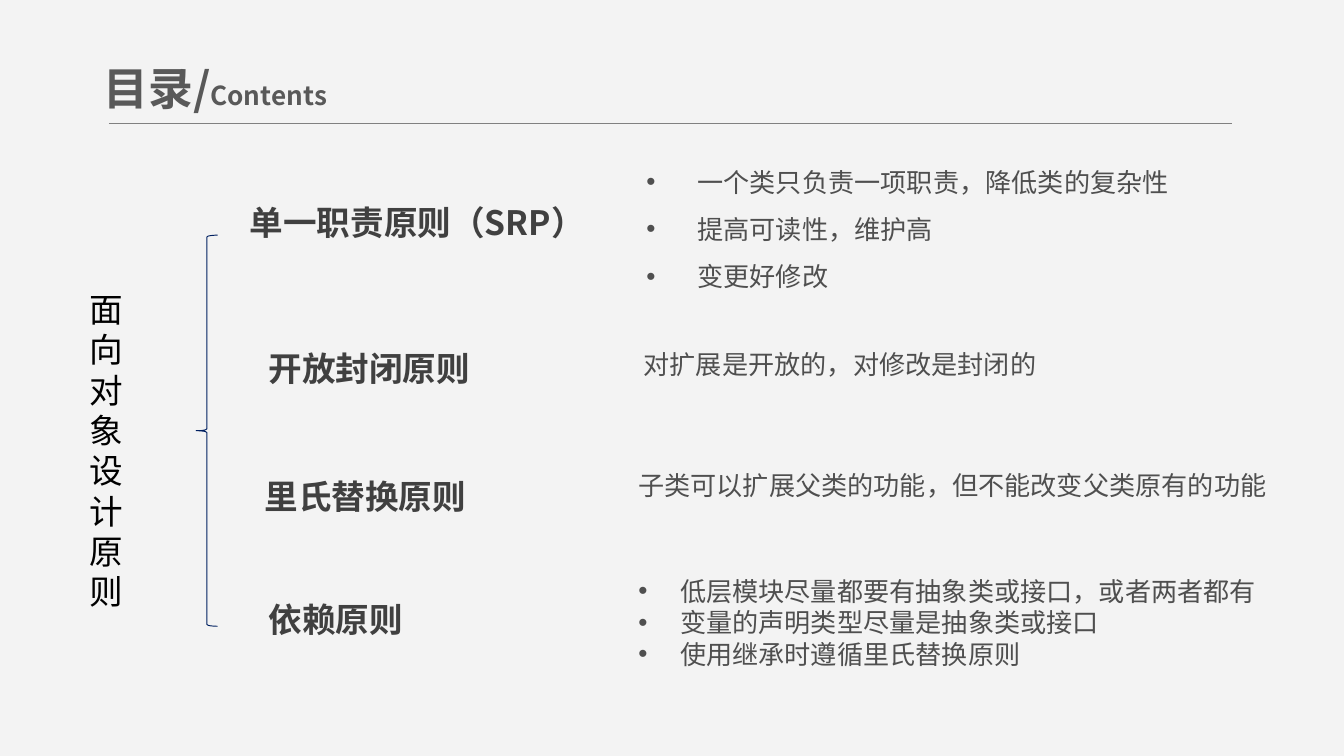
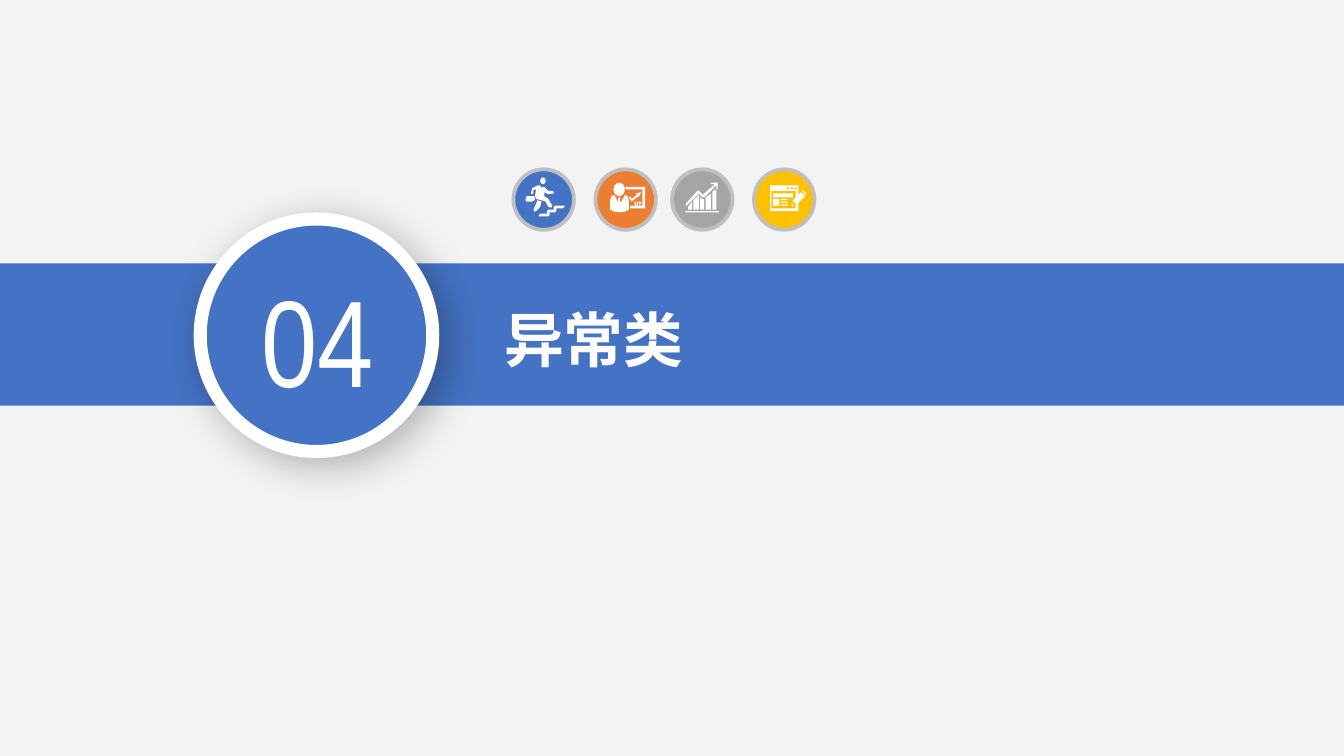
from lxml import etree
from pptx import Presentation
from pptx.dml.color import RGBColor
from pptx.enum.shapes import MSO_CONNECTOR, MSO_SHAPE
from pptx.enum.text import MSO_ANCHOR, MSO_AUTO_SIZE, PP_ALIGN
from pptx.oxml.ns import qn
from pptx.util import Inches, Pt

RECTANGLE, ELLIPSE, BRACE = MSO_SHAPE.RECTANGLE, MSO_SHAPE.OVAL, MSO_SHAPE.LEFT_BRACE
STRAIGHT = MSO_CONNECTOR.STRAIGHT
TOP, MIDDLE = MSO_ANCHOR.TOP, MSO_ANCHOR.MIDDLE
LEFT, CENTER = PP_ALIGN.LEFT, PP_ALIGN.CENTER
NO_AUTOFIT = MSO_AUTO_SIZE.NONE

FONT, NUMBER_FONT = "Noto Sans CJK SC", "Arial Narrow"
PAPER, WHITE, BLACK = "F3F3F3", "FFFFFF", "000000"
BLUE, ORANGE, GREY, YELLOW = "4472C4", "ED7D31", "A5A5A5", "FFC000"
TITLE_GREY, HEADING_GREY, BODY_GREY = "595959", "404040", "4F4F4F"
RULE_GREY, RING_GREY, NAVY = "808080", "BFBFBF", "002060"
TWO_CONTENT, TITLE_ONLY = 3, 5

# Icons: polygons, ellipses and rectangles, in hundredths of an inch inside a disc
DISC = 45
RUNNER = {
    "polygons": [
        [[(20, 33), (25, 33), (25, 31), (26, 30), (30, 30), (30, 28), (31, 27),
          (38, 27), (38, 28), (37, 29), (32, 29), (32, 31), (31, 32), (27, 32),
          (27, 34), (26, 35), (19, 35), (19, 34)]],
        [[(10, 24), (14, 24), (16, 23), (16, 21), (15, 20), (10, 20), (9, 23)]],
        [[(15, 30), (18, 23), (21, 24), (20, 28), (17, 31), (15.5, 31.5)]],
        [[(22, 13), (23, 13), (26, 16), (29, 16), (30, 17), (30, 18), (26, 18.5),
          (23, 17), (23, 20), (26, 22), (29, 27), (28.5, 28.5), (26, 28),
          (24, 24), (17, 22), (16, 20), (17, 15), (15, 15.5), (15, 18),
          (13, 18.5), (14, 14), (18, 12), (20, 12), (21, 14)]],
    ],
    "ellipses": [(20, 6, 4, 5)],
}
PRESENTER = {
    "polygons": [
        [[(22, 13), (23, 15), (35, 15), (35, 27), (26, 27), (26, 29), (37, 29),
          (37, 13)]],
        [[(26, 20), (25, 21), (27, 24), (32, 20), (32, 21), (34, 17), (30, 18),
          (31, 19), (27, 22)]],
        [[(22, 19), (19, 25), (18, 22), (19, 21.5), (18.5, 21), (17.5, 21),
          (17, 22), (17, 25), (14, 19), (12, 20), (11, 23), (11, 30),
          (14, 31.5), (18, 32), (22, 31.5), (25, 30), (25, 23), (24, 20)]],
        [[(29, 24), (29, 25.5), (30, 27), (31, 27), (32, 25.5), (32, 24),
          (31, 24), (31, 26), (30, 26), (30, 24)]],
        [[(32.5, 24), (32.5, 27), (33, 27), (33, 26), (34, 26), (34, 24)]],
    ],
    "ellipses": [(13.5, 10, 8.5, 10)],
}
GROWTH = {
    "polygons": [
        [[(12, 30), (15, 30), (15, 24), (12, 28)]],
        [[(16, 30), (20, 30), (20, 19), (16, 23)]],
        [[(21, 30), (24, 30), (24, 22), (22, 22), (21, 20)]],
        [[(25, 30), (29, 30), (29, 18), (25, 21)]],
        [[(30, 30), (33, 30), (33, 16), (32, 15), (30, 17)]],
        [[(11, 27), (20, 18), (23, 21), (24, 21), (33, 12), (33, 15), (34, 15),
          (34, 10), (29, 10), (29, 11), (32, 11), (23, 19), (20, 16), (19, 16),
          (10, 26)]],
    ],
    "rectangles": [(10, 31, 25, 1)],
}


def square(left, top, right, bottom):
    return [(left, top), (right, top), (right, bottom), (left, bottom)]


EDITOR = {
    "polygons": [
        [square(12, 12, 33, 31), square(13, 16, 31, 29)]
        + [square(x, 13.5, x + 1.5, 15) for x in (24.5, 27.5, 30.5)],
        [[(28, 25), (28, 27), (30, 27)]],
        [[(38, 19), (39, 18), (37, 16), (36, 15.5), (36, 16)]],
        [[(35, 17), (29, 23), (29, 24), (32, 26), (38, 20)]],
    ],
    "rectangles": [(14, 18, 15, 3), (14, 22, 5, 5)]
    + [(20, y, 5, 1) for y in (22, 24, 26)],
}


def color(value):
    return RGBColor.from_string(value)


def place(shape, box):
    shape.left, shape.top, shape.width, shape.height = [Inches(n) for n in box]


def paint(shape, fill=None, line=None, width=1):
    shape.shadow.inherit = False
    if fill:
        shape.fill.solid()
        shape.fill.fore_color.rgb = color(fill)
    else:
        shape.fill.background()
    if line:
        shape.line.color.rgb = color(line)
        shape.line.width = Pt(width)
    else:
        shape.line.fill.background()


def add_preset(shapes, kind, box, **look):
    shape = shapes.add_shape(kind, *[Inches(n) for n in box])
    paint(shape, **look)
    return shape


def add_bullet(para, indent):
    properties = para._p.get_or_add_pPr()
    properties.set("marL", str(Inches(indent)))
    properties.set("indent", str(-Inches(indent)))
    etree.SubElement(properties, qn("a:buFont")).set("typeface", "Arial")
    etree.SubElement(properties, qn("a:buChar")).set("char", "•")


def write(shape, lines, size=14, fill=BODY_GREY, bold=False, font=FONT,
          align=LEFT, anchor=TOP, spacing=1, bullet=None):
    """Each line is a string or a list of (text, size) spans."""
    frame = shape.text_frame
    frame.auto_size = NO_AUTOFIT
    frame.word_wrap = True
    frame.vertical_anchor = anchor
    for index, line in enumerate(lines):
        para = frame.add_paragraph() if index else frame.paragraphs[0]
        para.alignment = align
        para.line_spacing = spacing
        para.space_before = Pt(0)
        if bullet:
            add_bullet(para, bullet)
        for text, points in [(line, size)] if isinstance(line, str) else line:
            span = para.add_run()
            span.text = text
            span.font.size = Pt(points)
            span.font.bold = bold
            span.font.name = font
            span.font.color.rgb = color(fill)
            properties = span.font._element
            etree.SubElement(properties, qn("a:ea")).set("typeface", font)


def add_text(page, box, lines, **look):
    shape = page.shapes.add_textbox(*[Inches(n) for n in box])
    write(shape, lines, **look)


def fill_placeholder(shape, box, lines, **look):
    place(shape, box)
    write(shape, lines, **look)


# Contents slide
def add_heading(page, box):
    fill_placeholder(page.shapes.title, box, [[("目录/", 24), ("Contents", 14)]],
                     fill=TITLE_GREY, bold=True, anchor=MIDDLE)
    rule_top = Inches(box[1] + box[3])
    rule = page.shapes.add_connector(STRAIGHT, Inches(0.81), rule_top,
                                     Inches(9.17), rule_top)
    rule.line.color.rgb = color(RULE_GREY)
    rule.line.width = Pt(0.5)
    etree.SubElement(rule._element.spPr, qn("a:effectLst"))


def add_topic(page, box):
    left, top, width, height = box
    add_text(page, (left, top + 0.35, 0.47, height - 0.39), ["面向对象设计原则"],
             size=18, fill=BLACK)
    add_preset(page.shapes, BRACE, (left + width - 0.16, top, 0.16, height),
               line=NAVY, width=0.5)


def add_principles(page):
    names = [
        ("单一职责原则（SRP）", (1.76, 1.45, 2.83, 0.4)),
        ("开放封闭原则", (1.9, 2.54, 1.92, 0.4)),
        ("里氏替换原则", (1.87, 3.49, 2.03, 0.4)),
        ("依赖原则", (1.9, 4.41, 2.03, 0.4)),
    ]
    for name, box in names:
        add_text(page, box, [name], size=18, fill=HEADING_GREY, bold=True)
    fill_placeholder(page.placeholders[1], (4.71, 1.07, 5.29, 1.16),
                     ["一个类只负责一项职责，降低类的复杂性", "提高可读性，维护高",
                      "变更好修改"], spacing=1.5, bullet=0.38)
    add_text(page, (4.69, 2.54, 4.35, 0.34), ["对扩展是开放的，对修改是封闭的"])
    add_text(page, (4.65, 3.33, 4.9, 0.45),
             ["子类可以扩展父类的功能，但不能改变父类原有的功能"], spacing=1.5)
    fill_placeholder(page.placeholders[2], (4.65, 4.23, 4.83, 0.81),
                     ["低层模块尽量都要有抽象类或接口，或者两者都有",
                      "变量的声明类型尽量是抽象类或接口",
                      "使用继承时遵循里氏替换原则"], bullet=0.31)


def build_contents(deck):
    page = deck.slides.add_slide(deck.slide_layouts[TWO_CONTENT])
    add_heading(page, (0.67, 0.38, 2.47, 0.54))
    add_topic(page, (0.57, 1.75, 1.05, 2.91))
    add_principles(page)


# Section slide
def add_band(page, box, title):
    band = add_preset(page.shapes, RECTANGLE, box, fill=BLUE)
    fill_placeholder(page.shapes.title, (3.65, box[1] + 0.24, 2.61, 0.64), [title],
                     size=32, fill=WHITE, bold=True)
    band.element.addnext(page.shapes.title.element)


def add_icon(page, left, top, fill, polygons=(), ellipses=(), rectangles=()):
    shapes = page.shapes.add_group_shape().shapes
    add_preset(shapes, ELLIPSE, (left, top, DISC / 100, DISC / 100),
               fill=fill, line=RING_GREY, width=2)

    def at(point):
        return Inches(left + point[0] / 100), Inches(top + point[1] / 100)

    for contours in polygons:
        outline = shapes.build_freeform(*at(contours[0][0]), scale=1.0)
        for index, contour in enumerate(contours):
            if index:
                outline.move_to(*at(contour[0]))
            outline.add_line_segments([at(point) for point in contour[1:]], close=True)
        paint(outline.convert_to_shape(), fill=WHITE)
    for kind, parts in ((ELLIPSE, ellipses), (RECTANGLE, rectangles)):
        for x, y, width, height in parts:
            add_preset(shapes, kind, (left + x / 100, top + y / 100,
                                      width / 100, height / 100), fill=WHITE)


def add_shadow(shape, opacity, blur, distance, angle):
    effects = shape._element.spPr.find(qn("a:effectLst"))
    shadow = etree.SubElement(effects, qn("a:outerShdw"))
    for name, value in (("blurRad", Pt(blur)), ("dist", Pt(distance)),
                        ("dir", angle * 60000), ("algn", "tl"), ("rotWithShape", 0)):
        shadow.set(name, str(value))
    tint = etree.SubElement(shadow, qn("a:srgbClr"))
    tint.set("val", BLACK)
    etree.SubElement(tint, qn("a:alpha")).set("val", str(opacity * 1000))


def add_badge(page, box, number):
    left, top, width, height = box
    disc = add_preset(page.shapes, ELLIPSE, box, fill=BLUE, line=WHITE, width=7)
    add_shadow(disc, opacity=28, blur=22, distance=6, angle=45)
    add_text(page, (left + 0.22, top + 0.29, 1.31, 1.19), [number], size=66,
             fill=WHITE, font=NUMBER_FONT, align=CENTER)


def build_section(deck, number, title):
    page = deck.slides.add_slide(deck.slide_layouts[TITLE_ONLY])
    add_band(page, (0, 1.96, 10, 1.06), title)
    for left, fill, icon in ((3.82, BLUE, RUNNER), (4.43, ORANGE, PRESENTER),
                             (5, GREY, GROWTH), (5.61, YELLOW, EDITOR)):
        add_icon(page, left, 1.26, fill, **icon)
    add_badge(page, (1.49, 1.63, 1.73, 1.73), number)


deck = Presentation()
deck.slide_width = Inches(10)
deck.slide_height = deck.slide_width * 9 // 16
paper = deck.slide_master.background.fill
paper.solid()
paper.fore_color.rgb = color(PAPER)
build_contents(deck)
build_section(deck, "04", "异常类")
deck.save("out.pptx")
